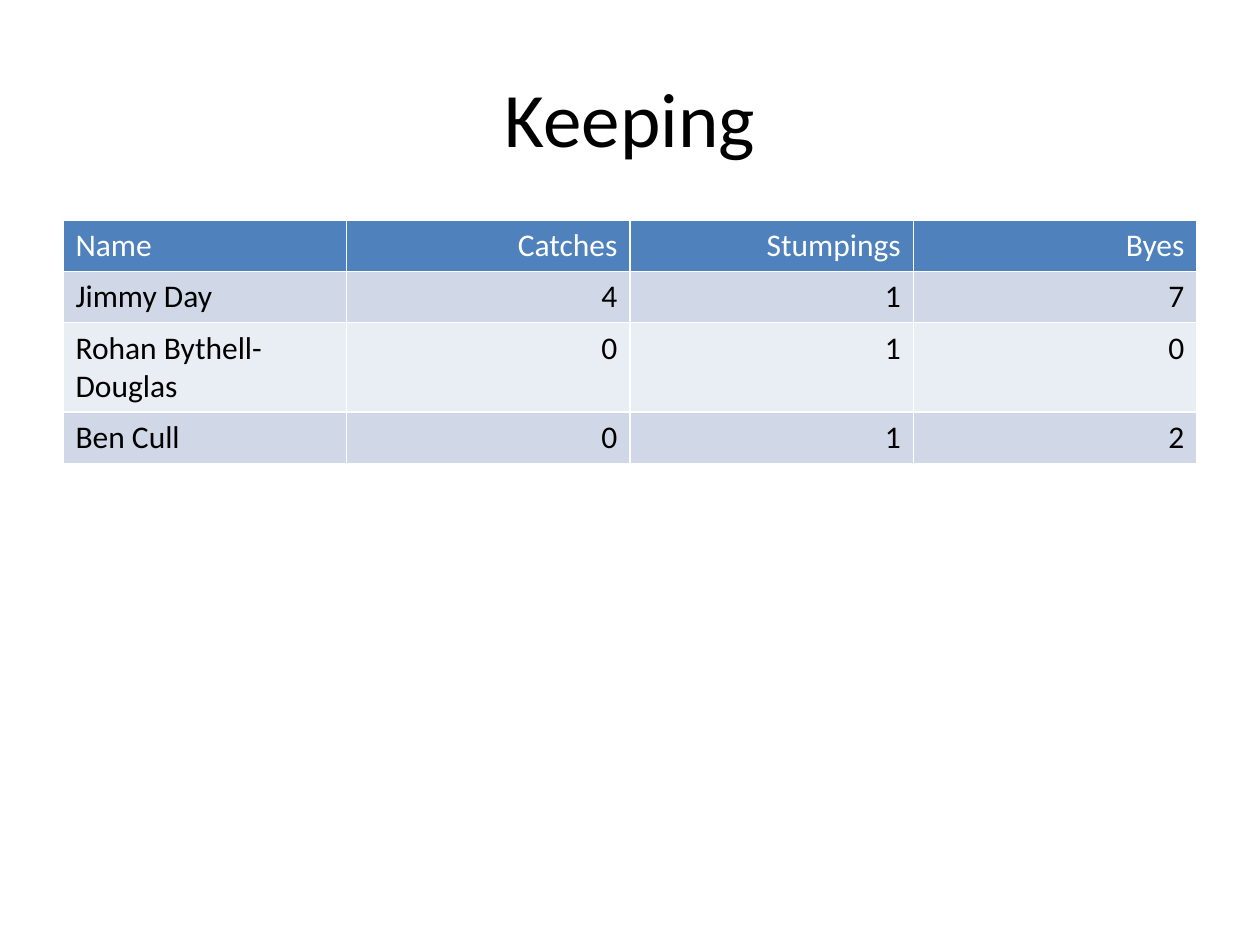
from pptx import Presentation
from pptx.dml.color import RGBColor
from pptx.enum.text import MSO_ANCHOR, PP_ALIGN
from pptx.util import Inches, Pt

BLACK = RGBColor(0x00, 0x00, 0x00)
WHITE = RGBColor(0xFF, 0xFF, 0xFF)
HEADER_BLUE = RGBColor(0x4F, 0x81, 0xBD)
BAND_DARK = RGBColor(0xD0, 0xD8, 0xE8)
BAND_LIGHT = RGBColor(0xE9, 0xED, 0xF4)

KEEPING = [
    ("Name", "Catches", "Stumpings", "Byes"),
    ("Jimmy Day", "4", "1", "7"),
    ("Rohan Bythell-Douglas", "0", "1", "0"),
    ("Ben Cull", "0", "1", "2"),
]
ROW_FILLS = [HEADER_BLUE, BAND_DARK, BAND_LIGHT, BAND_DARK]
ROW_HEIGHTS = [0.4, 0.4, 0.71, 0.4]


def format_text(paragraph, size, color, align):
    paragraph.alignment = align
    font = paragraph.runs[0].font
    font.name = "Calibri"
    font.size = Pt(size)
    font.bold = False
    font.color.rgb = color


prs = Presentation()
prs.slide_width = Inches(10)
prs.slide_height = Inches(7.5)
slide = prs.slides.add_slide(prs.slide_layouts[5])

title = slide.shapes.title
title.left, title.top = Inches(0.5), Inches(0.3)
title.width, title.height = Inches(9), Inches(1.25)
title.text_frame.text = "Keeping"
title.text_frame.vertical_anchor = MSO_ANCHOR.MIDDLE
format_text(title.text_frame.paragraphs[0], 44, BLACK, PP_ALIGN.CENTER)

table = slide.shapes.add_table(
    len(KEEPING), len(KEEPING[0]),
    Inches(0.5), Inches(1.75), Inches(9), Inches(sum(ROW_HEIGHTS)),
).table

for r, values in enumerate(KEEPING):
    table.rows[r].height = Inches(ROW_HEIGHTS[r])
    for c, value in enumerate(values):
        cell = table.cell(r, c)
        cell.text = value
        cell.fill.solid()
        cell.fill.fore_color.rgb = ROW_FILLS[r]
        format_text(
            cell.text_frame.paragraphs[0], 18,
            WHITE if r == 0 else BLACK,
            PP_ALIGN.LEFT if c == 0 else PP_ALIGN.RIGHT,
        )

prs.save("out.pptx")
